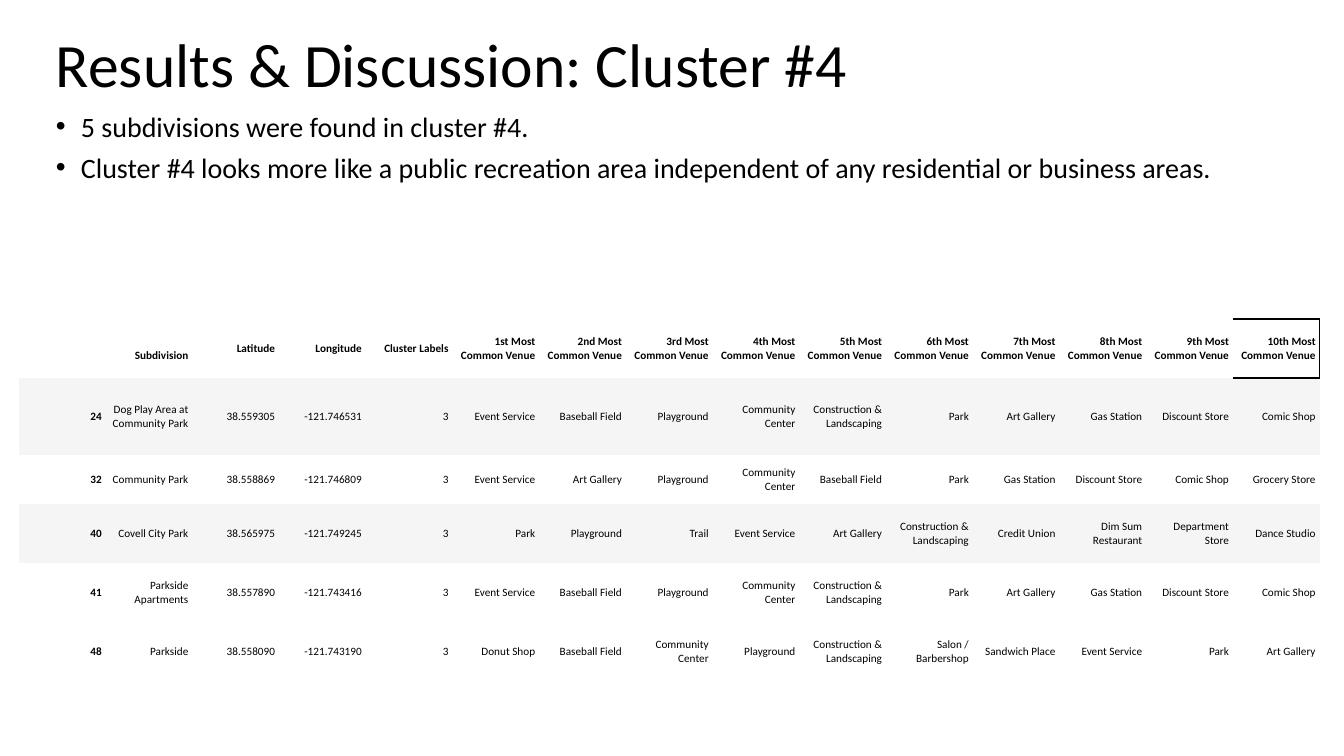
from dataclasses import dataclass

from lxml import etree
from pptx import Presentation
from pptx import util as u
from pptx.dml.color import RGBColor
from pptx.enum import text as t
from pptx.oxml.ns import qn


@dataclass(frozen=True)
class Theme:
    font: str = "Calibri"
    ink: str = "000000"
    plain: str = "FFFFFF"
    band: str = "F5F5F5"
    title_size: int = 44
    body_size: int = 20
    table_size: int = 8


THEME = Theme()
EMU_PER_PX = 914400 / 100.8
NO_STYLE_NO_GRID = "{2D5ABB26-0587-4C30-8999-92F81FD0307C}"

TITLE = "Results & Discussion: Cluster #4"
FINDINGS = [
    "5 subdivisions were found in cluster #4.",
    "Cluster #4 looks more like a public recreation area independent of any "
    "residential or business areas.",
]
ORDINALS = ["1st", "2nd", "3rd"] + [f"{rank}th" for rank in range(4, 11)]
HEADERS = ["", "\vSubdivision", "Latitude", "Longitude", "Cluster Labels"] + [
    f"{ordinal} Most Common Venue" for ordinal in ORDINALS
]
SUBDIVISIONS = [
    ["24", "Dog Play Area at Community Park", "38.559305", "-121.746531", "3",
     "Event Service", "Baseball Field", "Playground", "Community Center",
     "Construction & Landscaping", "Park", "Art Gallery", "Gas Station",
     "Discount Store", "Comic Shop"],
    ["32", "Community Park", "38.558869", "-121.746809", "3",
     "Event Service", "Art Gallery", "Playground", "Community Center",
     "Baseball Field", "Park", "Gas Station", "Discount Store",
     "Comic Shop", "Grocery Store"],
    ["40", "Covell City Park", "38.565975", "-121.749245", "3",
     "Park", "Playground", "Trail", "Event Service",
     "Art Gallery", "Construction & Landscaping", "Credit Union",
     "Dim Sum Restaurant", "Department Store", "Dance Studio"],
    ["41", "Parkside Apartments", "38.557890", "-121.743416", "3",
     "Event Service", "Baseball Field", "Playground", "Community Center",
     "Construction & Landscaping", "Park", "Art Gallery", "Gas Station",
     "Discount Store", "Comic Shop"],
    ["48", "Parkside", "38.558090", "-121.743190", "3",
     "Donut Shop", "Baseball Field", "Community Center", "Playground",
     "Construction & Landscaping", "Salon / Barbershop", "Sandwich Place",
     "Event Service", "Park", "Art Gallery"],
]
ROW_HEIGHTS = [59, 77, 49, 59, 59, 59]
BANDED_ROWS = {1, 3}


def px(length):
    return u.Emu(round(length * EMU_PER_PX))


def write_text(frame, lines, *, size, bold=False, align=t.PP_ALIGN.LEFT,
               line_spacing=1.0, space_before=0, bullet_indent=0):
    for index, line in enumerate(lines):
        paragraph = frame.paragraphs[0] if index == 0 else frame.add_paragraph()
        paragraph.text = line
        paragraph.alignment = align
        paragraph.line_spacing = line_spacing
        paragraph.space_before = u.Pt(space_before)
        for run in paragraph.runs:
            run.font.name = THEME.font
            run.font.size = u.Pt(size)
            run.font.bold = bold
            run.font.color.rgb = RGBColor.from_string(THEME.ink)
        for line_break in paragraph._p.findall(qn("a:br")):
            etree.SubElement(line_break, qn("a:rPr"), sz=str(size * 100))
        if bullet_indent:
            properties = paragraph._p.get_or_add_pPr()
            properties.set("marL", str(px(bullet_indent)))
            properties.set("indent", str(-px(bullet_indent)))
            etree.SubElement(properties, qn("a:buFont"), typeface="Arial")
            etree.SubElement(properties, qn("a:buChar"), char="•")


def add_text_box(slide, box, lines, *, anchor=t.MSO_ANCHOR.TOP, **text_format):
    frame = slide.shapes.add_textbox(*map(px, box)).text_frame
    frame.word_wrap = True
    frame.vertical_anchor = anchor
    write_text(frame, lines, **text_format)


def add_heading(slide, box):
    add_text_box(slide, box, [TITLE], anchor=t.MSO_ANCHOR.MIDDLE,
                 size=THEME.title_size, line_spacing=0.9)


def add_findings(slide, box):
    add_text_box(slide, box, FINDINGS, size=THEME.body_size,
                 line_spacing=0.8, space_before=10, bullet_indent=25)


def outline_cell(cell, sides):
    properties = cell._tc.get_or_add_tcPr()
    for position, side in enumerate(sides):
        line = etree.Element(qn(f"a:ln{side}"), w=str(u.Pt(1)))
        fill = etree.SubElement(line, qn("a:solidFill"))
        etree.SubElement(fill, qn("a:srgbClr"), val=THEME.ink)
        properties.insert(position, line)


def fill_cell(cell, value, *, bold, color):
    cell.margin_left = cell.margin_right = px(4)
    cell.margin_top = cell.margin_bottom = px(2)
    cell.vertical_anchor = t.MSO_ANCHOR.MIDDLE
    cell.fill.solid()
    cell.fill.fore_color.rgb = RGBColor.from_string(color)
    write_text(cell.text_frame, [value], size=THEME.table_size, bold=bold,
               align=t.PP_ALIGN.RIGHT)


def add_venue_table(slide, box):
    rows = [HEADERS] + SUBDIVISIONS
    table = slide.shapes.add_table(len(rows), len(HEADERS), *map(px, box)).table
    table.first_row = table.horz_banding = False
    table._tbl.tblPr.find(qn("a:tableStyleId")).text = NO_STYLE_NO_GRID
    for column in table.columns:
        column.width = px(box[2] / len(HEADERS))
    for row_index, values in enumerate(rows):
        table.rows[row_index].height = px(ROW_HEIGHTS[row_index])
        color = THEME.band if row_index in BANDED_ROWS else THEME.plain
        for column_index, value in enumerate(values):
            fill_cell(table.cell(row_index, column_index), value,
                      bold=row_index == 0 or column_index == 0, color=color)
    last_header = table.cell(0, len(HEADERS) - 1)
    last_header.fill.background()
    outline_cell(last_header, "RTB")


def main():
    presentation = Presentation()
    presentation.slide_width = px(1344)
    presentation.slide_height = px(756)
    slide = presentation.slides.add_slide(presentation.slide_layouts[6])
    add_heading(slide, (46, 26, 1159, 84))
    add_findings(slide, (46, 111, 1205, 84))
    add_venue_table(slide, (19, 319, 1301, sum(ROW_HEIGHTS)))
    presentation.save("out.pptx")


if __name__ == "__main__":
    main()
